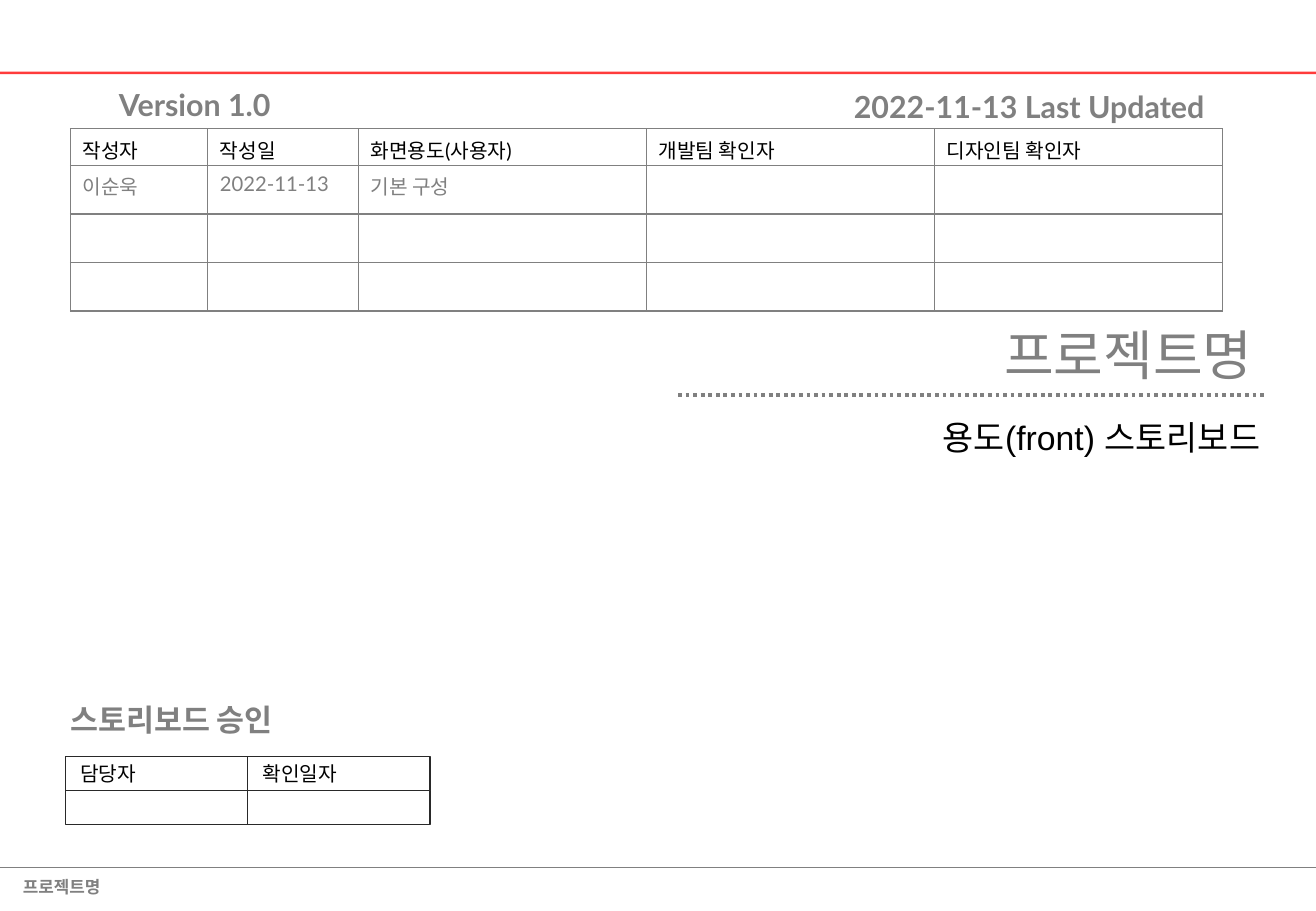
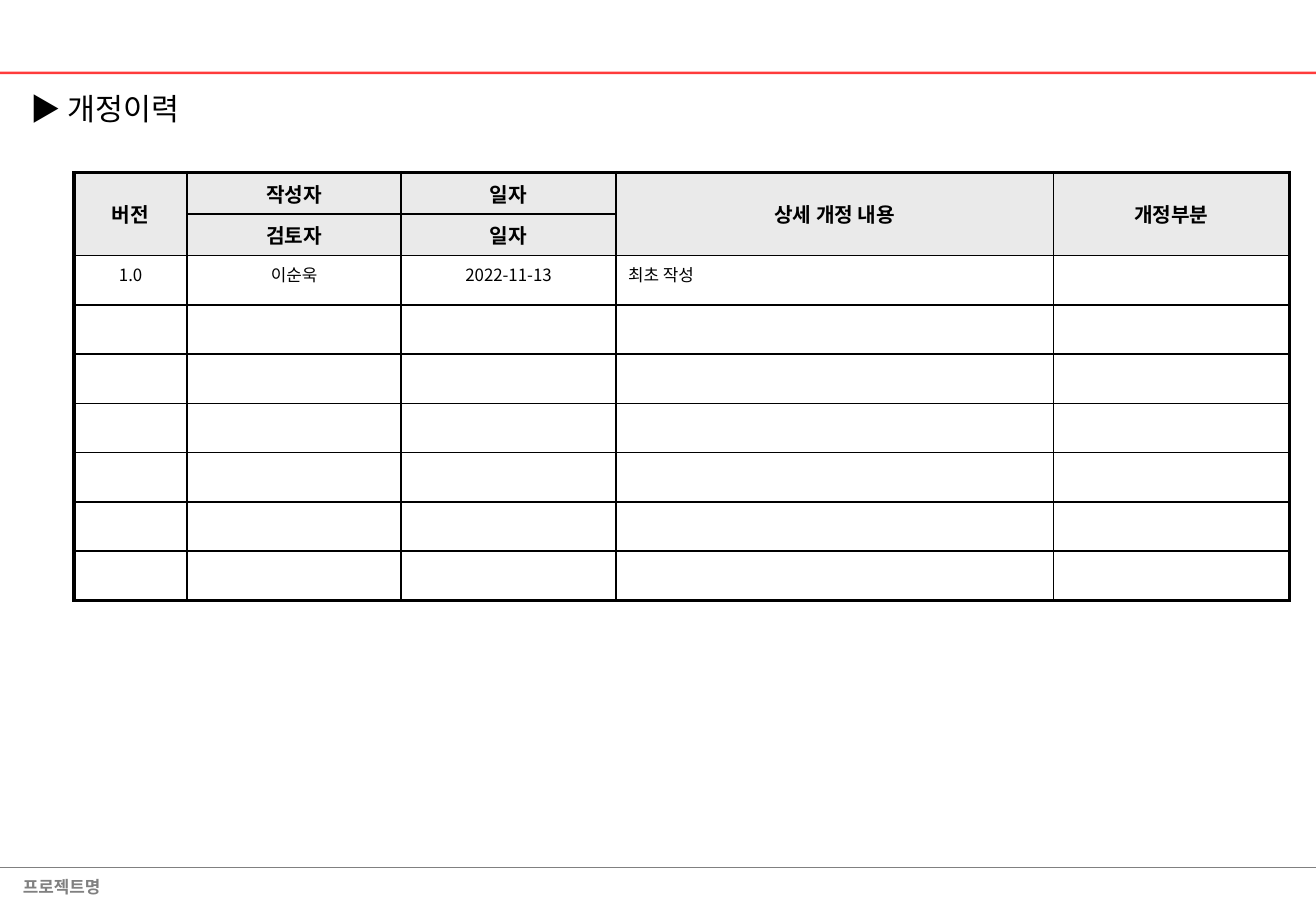
from lxml import etree
from pptx import Presentation
from pptx.dml.color import RGBColor
from pptx.enum.dml import MSO_LINE
from pptx.enum.shapes import MSO_CONNECTOR, MSO_SHAPE
from pptx.enum.text import MSO_ANCHOR, MSO_AUTO_SIZE, PP_ALIGN
from pptx.oxml import parse_xml
from pptx.oxml.ns import nsdecls, qn
from pptx.util import Inches, Pt

RED = RGBColor(0xFF, 0x00, 0x00)
GRAY = RGBColor(0x80, 0x80, 0x80)
BLACK = RGBColor(0x00, 0x00, 0x00)
CHARCOAL = RGBColor(0x29, 0x29, 0x29)
HEADER_FILL = RGBColor(0xEA, 0xEA, 0xEA)
KOREAN, LATO, ARIAL = "Noto Sans CJK KR", "Lato", "Arial"
LEFT, CENTER, RIGHT = PP_ALIGN.LEFT, PP_ALIGN.CENTER, PP_ALIGN.RIGHT
WIDTH = 10.83


def write(frame, text, size, font, color, bold=False, align=LEFT):
    frame.text = text
    para = frame.paragraphs[0]
    para.alignment = align
    para.font.size, para.font.name = Pt(size), font
    para.font.bold, para.font.color.rgb = bold, color
    return para


def add_grid(page, left, top, widths, heights, color, outer):
    """Add an unfilled table with 1 pt rules and an outer border in points."""
    frame = page.shapes.add_table(
        len(heights), len(widths), Inches(left), Inches(top),
        Inches(sum(widths)), Inches(sum(heights)))
    table = frame.table
    table.first_row = table.horz_banding = False
    for column, width in zip(table.columns, widths):
        column.width = Inches(width)
    for row, height in zip(table.rows, heights):
        row.height = Inches(height)
    last_row, last_column = len(heights) - 1, len(widths) - 1
    for r, row in enumerate(table.rows):
        for c, cell in enumerate(row.cells):
            edges = {"L": c == 0, "R": c == last_column,
                     "T": r == 0, "B": r == last_row}
            for side, is_outer in edges.items():
                points = outer if is_outer else 1
                cell._tc.get_or_add_tcPr().append(parse_xml(
                    f'<a:ln{side} {nsdecls("a")} w="{Pt(points)}"><a:solidFill>'
                    f'<a:srgbClr val="{color}"/></a:solidFill></a:ln{side}>'))
            cell.fill.background()
    return table


deck = Presentation()
deck.slide_width, deck.slide_height = Inches(WIDTH), Inches(7.5)
layout = deck.slide_layouts[5]
cover, history = [deck.slides.add_slide(layout) for _ in range(2)]

# Rules: two shared by all pages, one dotted on the cover
rules = []
for x1, x2, y, color, weight in [(0, WIDTH, 0.6, RED, 1.5),
                                 (0, WIDTH, 7.14, GRAY, 0.75),
                                 (5.58, 10.42, 3.25, GRAY, 2.25)]:
    rule = cover.shapes.add_connector(
        MSO_CONNECTOR.STRAIGHT, Inches(x1), Inches(y), Inches(x2), Inches(y))
    rule.line.color.rgb, rule.line.width = color, Pt(weight)
    etree.SubElement(rule.element.spPr, qn("a:effectLst"))
    rules.append(rule)
top_rule, footer_rule, dotted_rule = rules
dotted_rule.line.dash_style = MSO_LINE.ROUND_DOT
red_color = top_rule.element.find(".//" + qn("a:srgbClr"))
etree.SubElement(red_color, qn("a:alpha"), val="76000")

# Footer, moved to the master with the two shared rules
footer = cover.shapes.add_textbox(
    Inches(0.09), Inches(7.17), Inches(0.89), Inches(0.27))
write(footer.text_frame, "프로젝트명", 10, KOREAN, GRAY, True)
for number, part in enumerate([top_rule, footer_rule, footer], 20):
    part.element.find(".//" + qn("p:cNvPr")).set("id", str(number))
    deck.slide_master.shapes.element.append(part.element)

# Titles
for page, text, place, size, font, color, align in [
        (cover, "프로젝트명", (4.23, 2.56, 6.18, 0.71), 32, ARIAL, GRAY, RIGHT),
        (history, "▶ 개정이력", (0.15, 0.66, 3.55, 0.46), 18, KOREAN, BLACK, LEFT)]:
    title = page.shapes.title
    title.left, title.top, title.width, title.height = map(Inches, place)
    write(title.text_frame, text, size, font, color, False, align)
    title.text_frame.auto_size = MSO_AUTO_SIZE.NONE

# Cover: headings and subtitle
for text, place, size, font, color, bold, align, spacing in [
        ("Version 1.0", (0.88, 0.66, 1.82, 0.4), 18, LATO, GRAY, True, LEFT, 1),
        ("2022-11-13 Last Updated", (6.29, 0.68, 3.72, 0.4),
         18, LATO, GRAY, True, RIGHT, 1),
        ("스토리보드 승인", (0.48, 5.72, 2.12, 0.4), 18, LATO, GRAY, True, LEFT, 1),
        ("용도(front) 스토리보드", (4.21, 3.28, 6.26, 0.87),
         20, ARIAL, BLACK, False, RIGHT, 1.3)]:
    box = cover.shapes.add_textbox(*map(Inches, place))
    box.text_frame.word_wrap = True
    write(box.text_frame, text, size, font, color, bold, align).line_spacing = spacing

# Cover: authors table
authors = add_grid(cover, 0.58, 1.06, [1.13, 1.24, 2.37, 2.37, 2.37],
                   [0.3] + [0.4] * 3, GRAY, 1)
author_rows = [
    (BLACK, ["작성자", "작성일", "화면용도(사용자)", "개발팀 확인자", "디자인팀 확인자"]),
    (GRAY, ["이순욱", "2022-11-13", "기본 구성"])]
for r, (color, texts) in enumerate(author_rows):
    for c, text in enumerate(texts):
        write(authors.cell(r, c).text_frame, text, 12, LATO, color)

# Cover: approval boxes
for r, texts in enumerate([["담당자", "확인일자"], ["", ""]]):
    for c, text in enumerate(texts):
        box = cover.shapes.add_shape(
            MSO_SHAPE.RECTANGLE, Inches(0.54 + 1.5 * c), Inches(6.23 + 0.28 * r),
            Inches(1.5), Inches(0.28))
        box.shadow.inherit = False
        box.fill.background()
        box.line.color.rgb, box.line.width = CHARCOAL, Pt(0.75)
        frame = box.text_frame
        frame.margin_left, frame.margin_top, frame.margin_bottom = Inches(0.12), 0, 0
        frame.vertical_anchor = MSO_ANCHOR.MIDDLE
        if text:
            write(frame, text, 12, KOREAN, BLACK)

# History: revision table with a two-row header
revisions = add_grid(history, 0.61, 1.42, [0.93, 1.76, 1.77, 3.6, 1.94],
                     [0.3] * 2 + [0.4] * 7, BLACK, 2.25)
header_rows = [["버전", "작성자", "일자", "상세 개정 내용", "개정부분"],
               ["", "검토자", "일자", "", ""]]
for r, texts in enumerate(header_rows):
    for c, text in enumerate(texts):
        cell = revisions.cell(r, c)
        cell.fill.solid()
        cell.fill.fore_color.rgb = HEADER_FILL
        if text:
            write(cell.text_frame, text, 12, KOREAN, BLACK, True, CENTER)
for c in (0, 3, 4):
    revisions.cell(0, c).merge(revisions.cell(1, c))
    revisions.cell(0, c).vertical_anchor = MSO_ANCHOR.MIDDLE
for c, text in enumerate(["1.0", "이순욱", "2022-11-13", "최초 작성"]):
    write(revisions.cell(2, c).text_frame, text, 10, KOREAN, BLACK,
          align=LEFT if c == 3 else CENTER)

deck.save("out.pptx")
